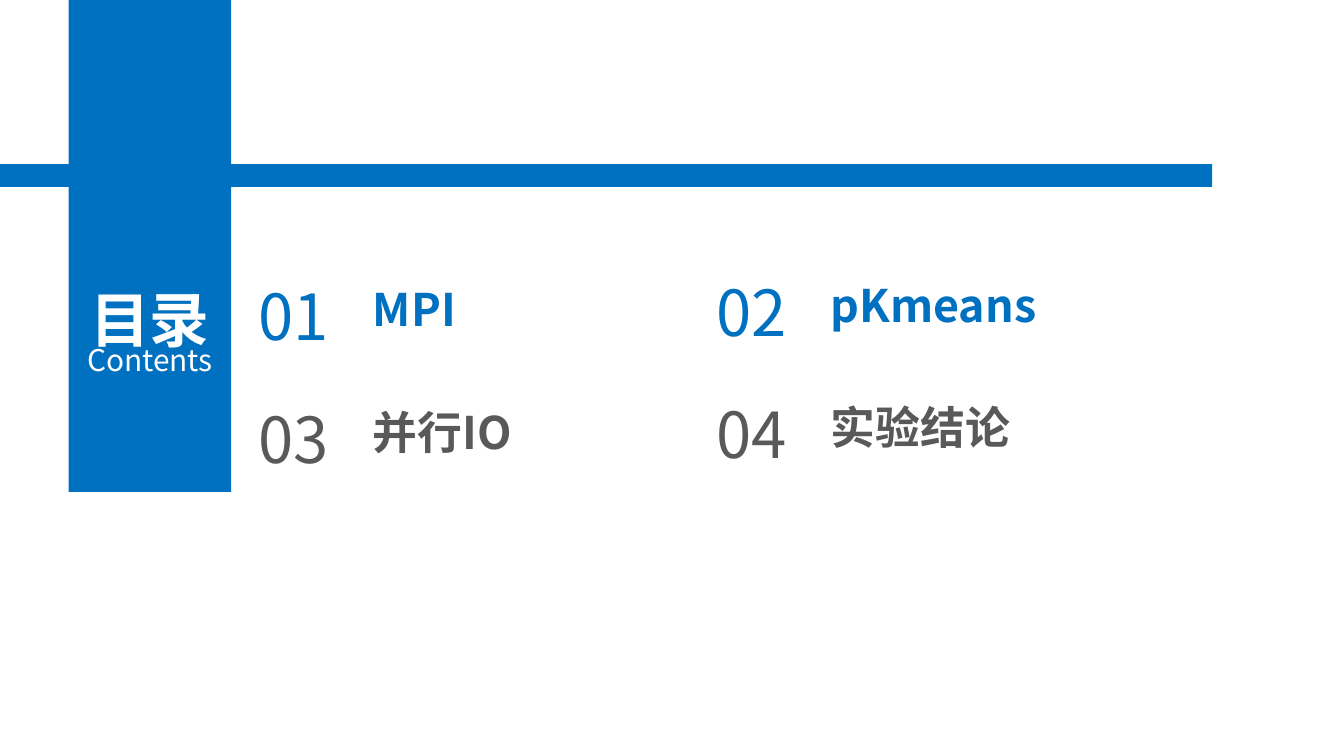
import pptx
import pptx.util
import pptx.dml.color
import pptx.enum.shapes
import pptx.enum.text
import pptx.oxml.ns
from lxml import etree

Pt = pptx.util.Pt
Align = pptx.enum.text.PP_ALIGN
Anchor = pptx.enum.text.MSO_ANCHOR
COLORS = {"blue": "0070C0", "gray": "595959", "white": "FFFFFF"}


class Deck:
    """Holds the style and the current slide."""

    font = "Noto Sans CJK SC"

    def __init__(self, width, height):
        self.file = pptx.Presentation()
        self.file.slide_width = Pt(width)
        self.file.slide_height = Pt(height)
        self.slide = self.file.slides.add_slide(self.file.slide_layouts[6])

    def color(self, name):
        return pptx.dml.color.RGBColor.from_string(COLORS[name])

    def group(self):
        return self.slide.shapes.add_group_shape().shapes

    def rect(self, left, top, width, height, color):
        kind = pptx.enum.shapes.MSO_SHAPE.RECTANGLE
        shape = self.slide.shapes.add_shape(kind, Pt(left), Pt(top), Pt(width), Pt(height))
        shape.shadow.inherit = False
        shape.fill.solid()
        shape.fill.fore_color.rgb = self.color(color)
        shape.line.fill.background()

    def text(self, group, words, box, size, color, bold=False, align=Align.CENTER,
             anchor=Anchor.TOP, inset=(0, 0, 0, 0), wrap=True):
        frame = group.add_textbox(*map(Pt, box)).text_frame
        frame.word_wrap = wrap
        frame.vertical_anchor = anchor
        frame.margin_left, frame.margin_top, frame.margin_right, frame.margin_bottom = map(Pt, inset)
        frame.text = words
        line = frame.paragraphs[0]
        line.alignment = align
        for run in line.runs:
            run.font.size = Pt(size)
            run.font.bold = bold
            run.font.color.rgb = self.color(color)
            run.font.name = self.font
            east = etree.SubElement(run._r.get_or_add_rPr(), pptx.oxml.ns.qn("a:ea"))
            east.set("typeface", self.font)

    def entry(self, left, top, number, title, color):
        group = self.group()
        self.text(group, number, (left, top, 39, 42), 34, color,
                  anchor=Anchor.MIDDLE, wrap=False)
        self.text(group, title, (left + 33.8, top + 5.8, 234, 26), 24, color, bold=True,
                  align=Align.LEFT, anchor=Anchor.BOTTOM, inset=(28.2, 0, 0, 0), wrap=False)


def main():
    deck = Deck(720, 405)
    deck.rect(0, 88, 649.4, 12.2, "blue")
    deck.rect(36.8, 0, 87, 263.5, "blue")

    head = deck.group()
    deck.text(head, "Contents", (27, 172, 106.6, 30.2), 16, "white", anchor=Anchor.BOTTOM)
    deck.text(head, "目录", (27, 148, 106.6, 54.7), 32, "white", bold=True,
              inset=(7.2, 3.6, 7.2, 3.6))

    columns = [(137.8, 147.7, 66.2), (383, 145.5, 65.5)]
    titles = ["MPI", "pKmeans", "并行IO", "实验结论"]
    for index, title in enumerate(titles):
        row, column = divmod(index, 2)
        left, top, step = columns[column]
        deck.entry(left, top + row * step, f"{index + 1:02}", title, ("blue", "gray")[row])

    deck.file.save("out.pptx")


if __name__ == "__main__":
    main()
